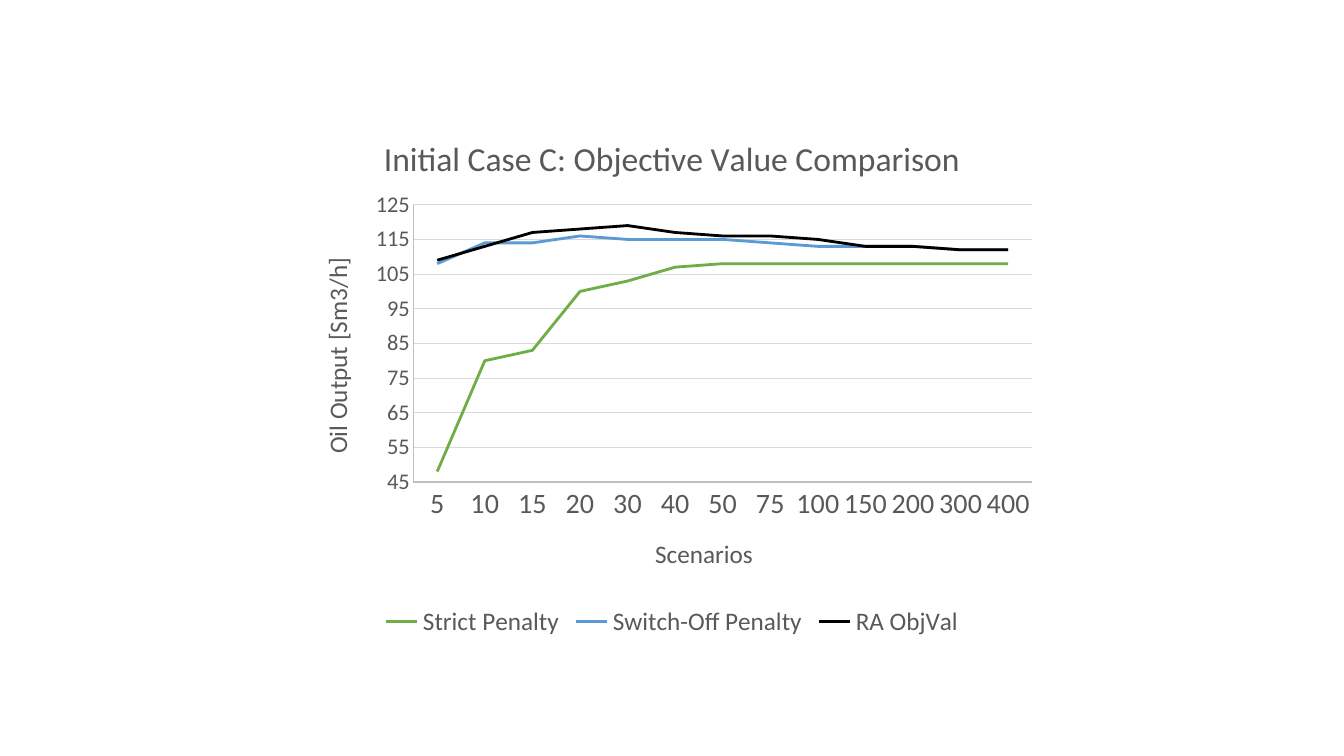
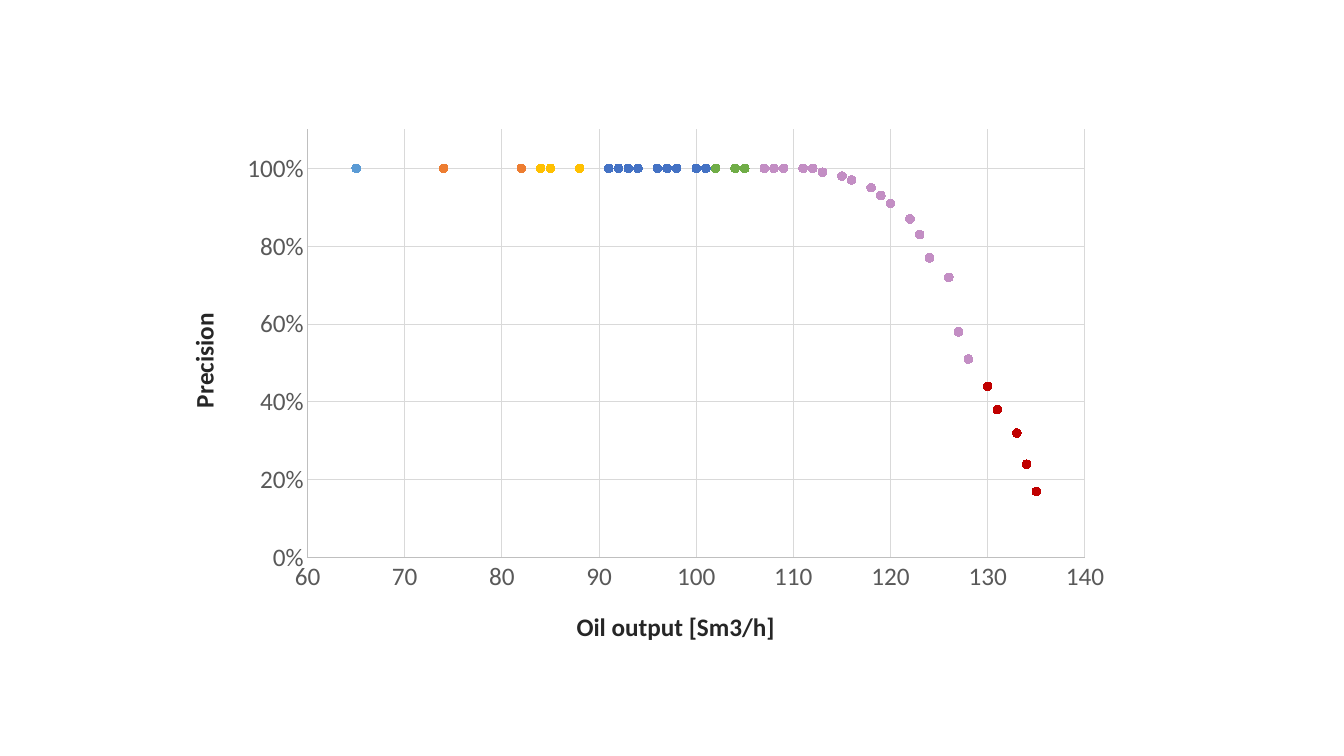
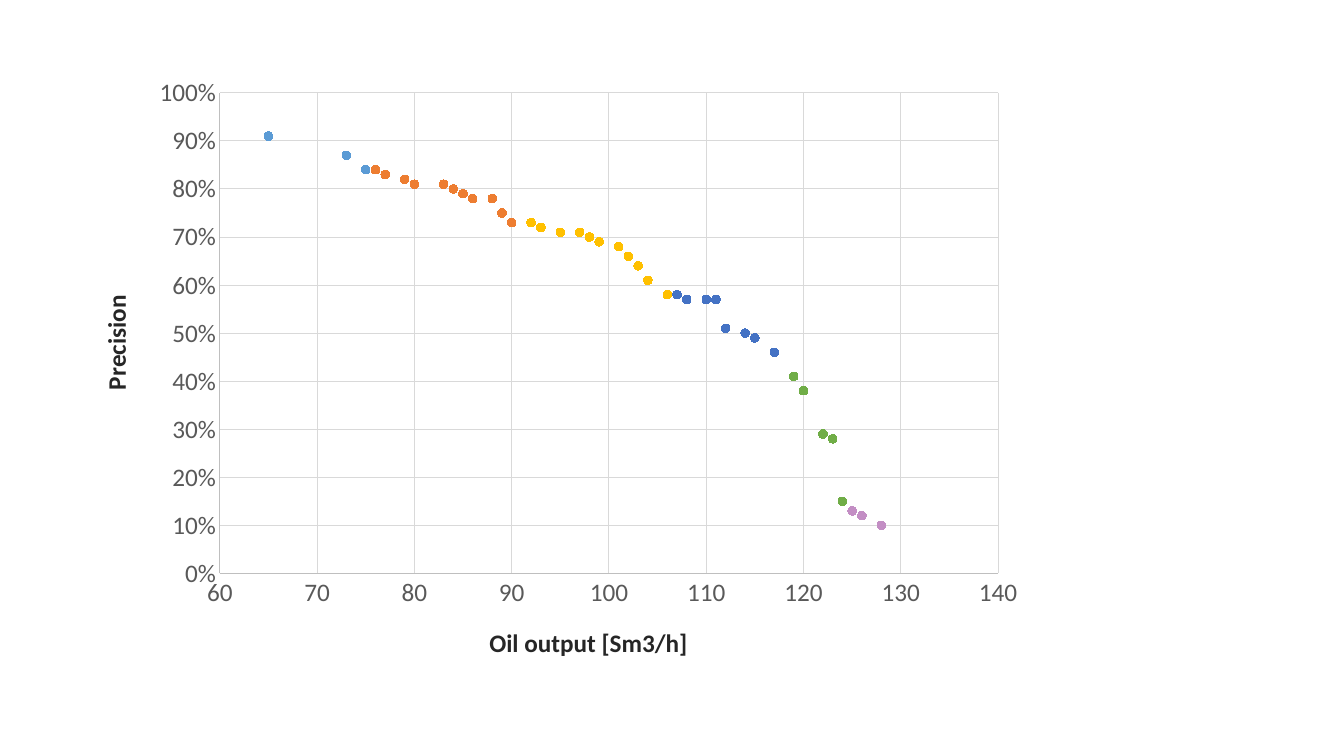
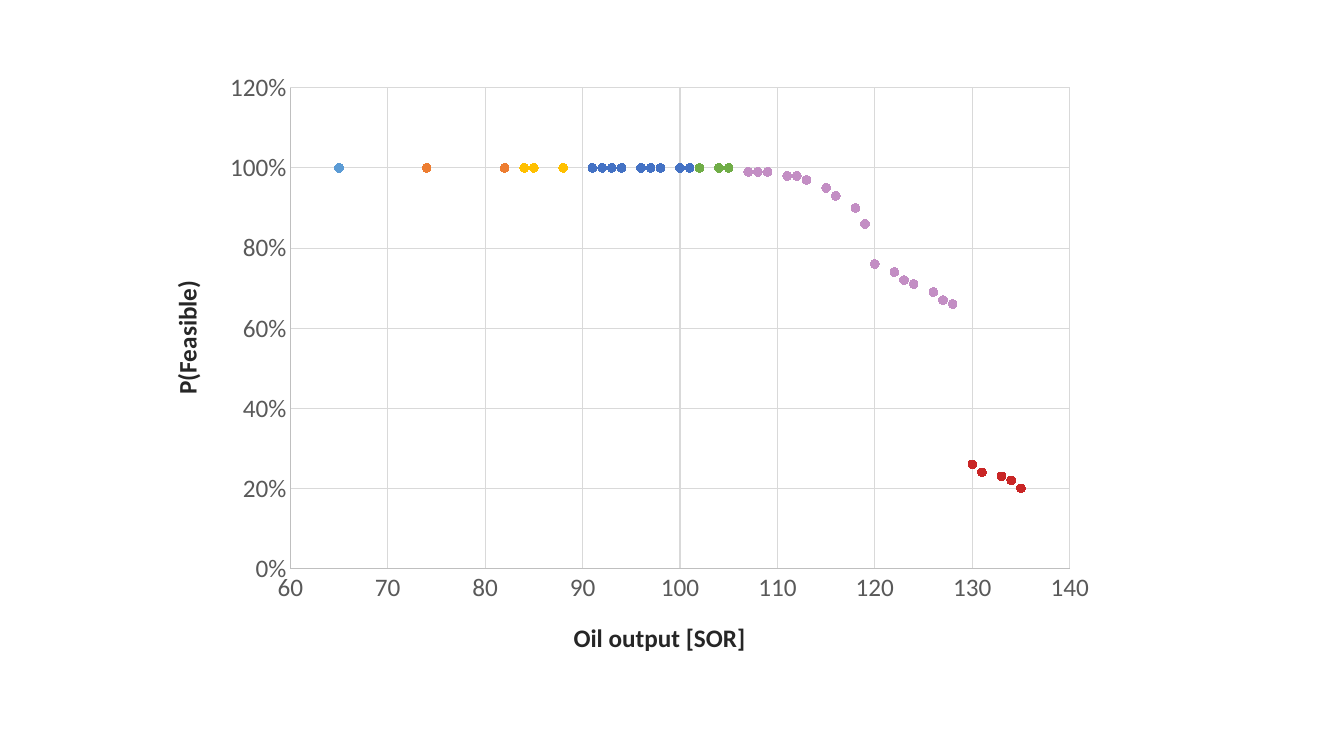
from pptx import Presentation
from pptx.chart.data import CategoryChartData, XyChartData
from pptx.dml.color import RGBColor
from pptx.enum.chart import XL_CHART_TYPE, XL_LEGEND_POSITION, XL_MARKER_STYLE, XL_TICK_MARK
from pptx.oxml import parse_xml
from pptx.oxml.ns import nsdecls, qn
from pptx.util import Pt

# Shared style
FONT = "Calibri"
BLACK = RGBColor(0x00, 0x00, 0x00)
DARK = RGBColor(0x26, 0x26, 0x26)
GRAY = RGBColor(0x59, 0x59, 0x59)
AXIS_GRAY = RGBColor(0xBF, 0xBF, 0xBF)
GRID_GRAY = RGBColor(0xD9, 0xD9, 0xD9)
BLUE = RGBColor(0x5B, 0x9B, 0xD5)
ORANGE = RGBColor(0xED, 0x7D, 0x31)
YELLOW = RGBColor(0xFF, 0xC0, 0x00)
NAVY = RGBColor(0x44, 0x72, 0xC4)
GREEN = RGBColor(0x70, 0xAD, 0x47)
PURPLE = RGBColor(0xC3, 0x8E, 0xC4)
DARK_RED = RGBColor(0xC0, 0x00, 0x00)
RED = RGBColor(0xC9, 0x26, 0x26)
SCATTER_COLORS = [BLUE, ORANGE, YELLOW, NAVY, GREEN, PURPLE]
SCATTER_SIZE = (702, 449.3)

# Objective values by number of scenarios
SCENARIOS = ["5", "10", "15", "20", "30", "40", "50", "75", "100", "150", "200", "300", "400"]
OBJECTIVE_VALUES = [
    ("Strict Penalty", GREEN, [48, 80, 83, 100, 103, 107, 108, 108, 108, 108, 108, 108, 108]),
    ("Switch-Off Penalty", BLUE, [108, 114, 114, 116, 115, 115, 115, 114, 113, 113, 113, 112, 112]),
    ("RA ObjVal", BLACK, [109, 113, 117, 118, 119, 117, 116, 116, 115, 113, 113, 112, 112]),
]

# Scatter data: one (oil outputs, shares) pair per series
CERTAIN_OUTPUTS = [
    [65] * 47,
    [74] * 7 + [82] * 5,
    [84, 84, 85, 88, 88],
    [91, 91, 92, 93, 94, 96, 97, 98, 100, 101],
    [102, 104, 105],
]
CERTAIN = [(outputs, [1] * len(outputs)) for outputs in CERTAIN_OUTPUTS]
FALLING_OUTPUTS = [107, 108, 109, 111, 112, 113, 115, 116, 118, 119, 120, 122, 123, 124, 126, 127, 128]
LAST_OUTPUTS = [130, 131, 133, 134, 135]
PRECISION = CERTAIN + [
    (FALLING_OUTPUTS, [1, 1, 1, 1, 1, 0.99, 0.98, 0.97, 0.95, 0.93, 0.91, 0.87, 0.83, 0.77, 0.72, 0.58, 0.51]),
    (LAST_OUTPUTS, [0.44, 0.38, 0.32, 0.24, 0.17]),
]
FEASIBILITY = CERTAIN + [
    (FALLING_OUTPUTS, [0.99, 0.99, 0.99, 0.98, 0.98, 0.97, 0.95, 0.93, 0.9, 0.86, 0.76, 0.74, 0.72, 0.71,
                       0.69, 0.67, 0.66]),
    (LAST_OUTPUTS, [0.26, 0.24, 0.23, 0.22, 0.2]),
]
GRADUAL_PRECISION = [
    ([65] * 50 + [73] * 6 + [75], [0.91] * 50 + [0.87] * 6 + [0.84]),
    ([75, 76, 77, 79, 80, 83, 83, 84, 85, 86, 88, 89, 90],
     [0.84, 0.84, 0.83, 0.82, 0.81, 0.81, 0.81, 0.8, 0.79, 0.78, 0.78, 0.75, 0.73]),
    ([92, 93, 95, 95, 97, 98, 99, 101, 102, 103, 104, 106],
     [0.73, 0.72, 0.71, 0.71, 0.71, 0.7, 0.69, 0.68, 0.66, 0.64, 0.61, 0.58]),
    ([107, 108, 110, 111, 112, 114, 115, 117], [0.58, 0.57, 0.57, 0.57, 0.51, 0.5, 0.49, 0.46]),
    ([117, 119, 120, 122, 123, 124], [0.46, 0.41, 0.38, 0.29, 0.28, 0.15]),
    ([125, 126, 128], [0.13, 0.12, 0.1]),
]


def style_font(font, size, color, bold=False):
    font.name = FONT
    font.size = Pt(size)
    font.bold = bold
    font.color.rgb = color


def style_line(line, color, width=0.75):
    line.color.rgb = color
    line.width = Pt(width)


def set_title(owner, text, size, color, bold=False):
    """Write the title of a chart or of an axis."""
    paragraph = owner.text_frame.paragraphs[0]
    paragraph.text = text
    style_font(paragraph.runs[0].font, size, color, bold)


def style_axis(axis, title, size, title_color, bold=False, grid=True, scale=None, number_format=None):
    axis.has_title = True
    set_title(axis.axis_title, title, 18, title_color, bold)
    axis.major_tick_mark = axis.minor_tick_mark = XL_TICK_MARK.NONE
    style_font(axis.tick_labels.font, size, GRAY)
    style_line(axis.format.line, AXIS_GRAY)
    axis.has_major_gridlines = grid
    if grid:
        style_line(axis.major_gridlines.format.line, GRID_GRAY)
    if scale:
        axis.minimum_scale, axis.maximum_scale, axis.major_unit = scale
    if number_format:
        axis.tick_labels.number_format = number_format
        axis.tick_labels.number_format_is_linked = False


def turn_title(axis):
    """Let the axis title read upwards."""
    body = axis.axis_title.text_frame._txBody.find(qn("a:bodyPr"))
    body.set("rot", "-5400000")
    body.set("vert", "horz")


def set_plot_layout(chart, layout):
    """Place the inner plot area by fractions of the chart."""
    plot_area = chart._chartSpace.chart.plotArea
    for old_layout in plot_area.findall(qn("c:layout")):
        plot_area.remove(old_layout)
    settings = [("layoutTarget", "inner"), ("xMode", "edge"), ("yMode", "edge"), *zip("xywh", layout)]
    items = "".join(f'<c:{name} val="{value}"/>' for name, value in settings)
    plot_area.insert(0, parse_xml(
        f'<c:layout {nsdecls("c")}><c:manualLayout>{items}</c:manualLayout></c:layout>'))


def add_chart_slide(presentation, kind, data, place, layout):
    slide = presentation.slides.add_slide(presentation.slide_layouts[6])
    chart = slide.shapes.add_chart(kind, *map(Pt, place), data).chart
    style_font(chart.font, 10, BLACK)
    chart.has_title = chart.has_legend = False
    chart.plots[0].vary_by_categories = False
    set_plot_layout(chart, layout)
    return chart


def add_line_slide(presentation):
    data = CategoryChartData()
    data.categories = SCENARIOS
    for name, _, values in OBJECTIVE_VALUES:
        data.add_series(name, values)
    chart = add_chart_slide(presentation, XL_CHART_TYPE.LINE, data,
                            (212.4, 81.4, 535, 377.3), (0.155, 0.172, 0.826, 0.525))
    chart.has_title = True
    set_title(chart.chart_title, "Initial Case C: Objective Value Comparison", 24, GRAY)
    style_axis(chart.category_axis, "Scenarios", 20, GRAY, grid=False)
    style_axis(chart.value_axis, "Oil Output [Sm3/h]", 16, GRAY, scale=(45, 125, 10))
    turn_title(chart.value_axis)
    for series, (_, color, _) in zip(chart.plots[0].series, OBJECTIVE_VALUES):
        series.smooth = False
        style_line(series.format.line, color, 2)
    chart.has_legend = True
    chart.legend.position = XL_LEGEND_POSITION.BOTTOM
    chart.legend.include_in_layout = False
    style_font(chart.legend.font, 18, GRAY)


def add_scatter_slide(presentation, corner, layout, titles, points, top, step, last_color=DARK_RED):
    data = XyChartData()
    for number, (outputs, shares) in enumerate(points, 1):
        series = data.add_series(f"Series {number}")
        for output, share in zip(outputs, shares):
            series.add_data_point(output, share)
    chart = add_chart_slide(presentation, XL_CHART_TYPE.XY_SCATTER, data, corner + SCATTER_SIZE, layout)
    style_axis(chart.category_axis, titles[0], 18, DARK, True, scale=(60, 140, 10), number_format="0")
    style_axis(chart.value_axis, titles[1], 18, DARK, True, scale=(0, top, step), number_format="0%")
    turn_title(chart.value_axis)
    for series, color in zip(chart.plots[0].series, SCATTER_COLORS + [last_color]):
        series.format.line.fill.background()
        marker = series.marker
        marker.style = XL_MARKER_STYLE.CIRCLE
        marker.size = 6
        marker.format.fill.solid()
        marker.format.fill.fore_color.rgb = color
        style_line(marker.format.line, color)


def main():
    presentation = Presentation()
    presentation.slide_width, presentation.slide_height = Pt(960), Pt(540)
    precision_titles = ("Oil output [Sm3/h]", "Precision")
    add_line_slide(presentation)
    add_scatter_slide(presentation, (110.2, 43.9), (0.156, 0.108, 0.791, 0.681),
                      precision_titles, PRECISION, 1.1, 0.2)
    add_scatter_slide(presentation, (47.5, 54.7), (0.156, 0.026, 0.792, 0.764),
                      precision_titles, GRADUAL_PRECISION, 1, 0.1)
    add_scatter_slide(presentation, (97.9, 51.1), (0.156, 0.026, 0.793, 0.764),
                      ("Oil output [SOR]", "P(Feasible)"), FEASIBILITY, 1.2, 0.2, RED)
    presentation.save("out.pptx")


if __name__ == "__main__":
    main()
